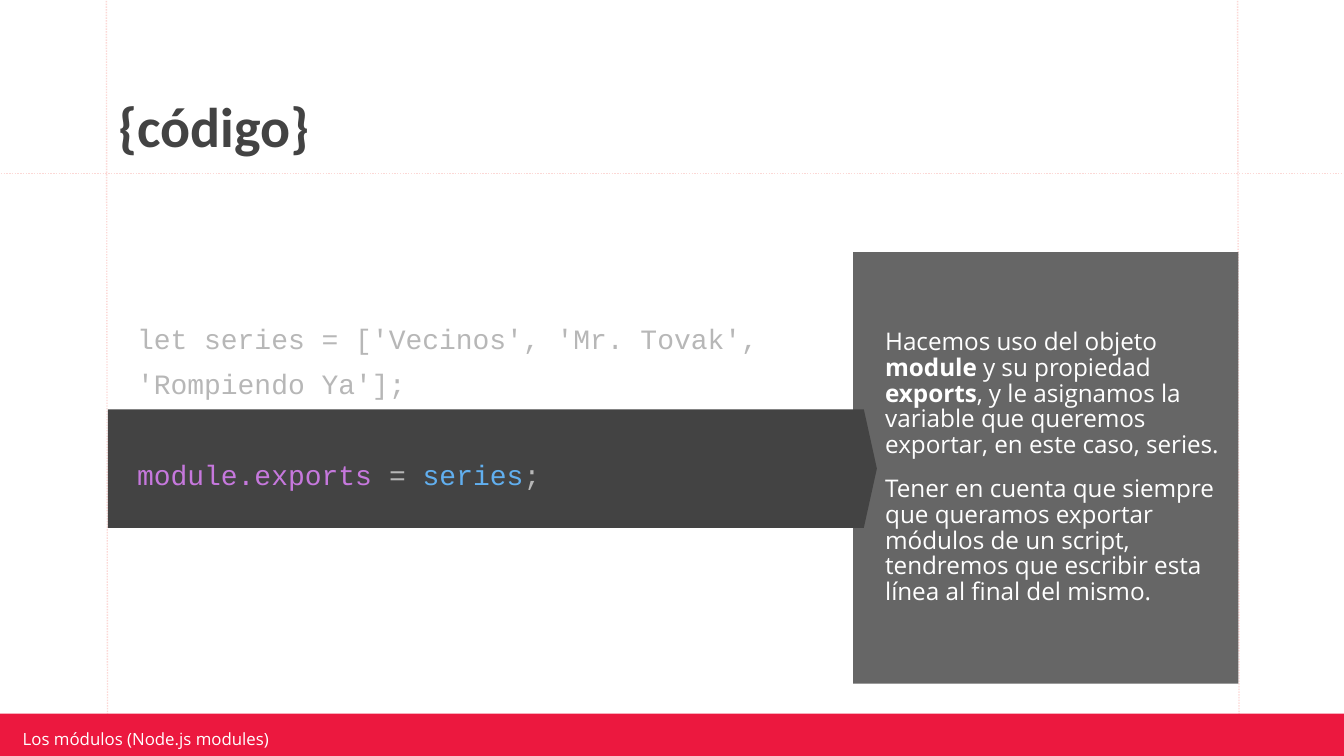
from dataclasses import dataclass

import pptx
import pptx.dml.color
import pptx.enum.dml
import pptx.enum.shapes
import pptx.enum.text
import pptx.oxml.xmlchemy
import pptx.util

Pt = pptx.util.Pt
RGBColor = pptx.dml.color.RGBColor
Anchor = pptx.enum.text.MSO_ANCHOR
Preset = pptx.enum.shapes.MSO_SHAPE
OxmlElement = pptx.oxml.xmlchemy.OxmlElement

WHITE = RGBColor(0xFF, 0xFF, 0xFF)
PINK = RGBColor(0xFC, 0xD8, 0xD6)
RED = RGBColor(0xEC, 0x18, 0x3F)
CHARCOAL = RGBColor(0x43, 0x43, 0x43)
GREY = RGBColor(0x66, 0x66, 0x66)
SILVER = RGBColor(0xB7, 0xB7, 0xB7)
PURPLE = RGBColor(0xC6, 0x78, 0xDD)
BLUE = RGBColor(0x61, 0xAF, 0xEF)


@dataclass(frozen=True)
class Box:
    left: float
    top: float
    width: float
    height: float


@dataclass(frozen=True)
class Guide:
    x1: float
    y1: float
    x2: float
    y2: float


@dataclass(frozen=True)
class Style:
    font: str
    size: float
    color: RGBColor
    bold: bool = False
    line_spacing: float = 1.0
    indent: float = 0


@dataclass(frozen=True)
class Span:
    text: str
    color: RGBColor | None = None
    bold: bool | None = None


@dataclass(frozen=True)
class Line:
    spans: tuple[Span, ...]
    space_before: float = 0


GUIDES = (
    Guide(57, -1, 57.6, 384),
    Guide(663, -1, 663.8, 384),
    Guide(-1, 93, 722, 93),
    Guide(-1.5, 383, 721.5, 383),
)
FOOTER_STYLE = Style("Open Sans", 9, WHITE)
TITLE_STYLE = Style("Calibri", 30, CHARCOAL, bold=True, line_spacing=0.9)
NOTE_STYLE = Style("Open Sans", 13, WHITE, line_spacing=0.88, indent=10)
CODE_STYLE = Style("Courier New", 15, SILVER, line_spacing=1.36, indent=10)

FOOTER = (Line((Span("Los módulos (Node.js modules)"),)),)
TITLE = (Line((Span("{código}"),)),)
NOTE = (
    Line((
        Span("Hacemos uso del objeto "),
        Span("module", bold=True),
        Span(" y su propiedad "),
        Span("exports", bold=True),
        Span(", y le asignamos la variable que queremos exportar, en este caso, series."),
    ), 10),
    Line((
        Span("Tener en cuenta que siempre que queramos exportar módulos de un script, "
             "tendremos que escribir esta línea al final del mismo."),
    ), 10),
)
CODE = (
    Line((Span("let series = ['Vecinos', 'Mr. Tovak', 'Rompiendo Ya'];"),)),
    Line((
        Span("module.exports", PURPLE),
        Span(" = "),
        Span("series", BLUE),
        Span(";"),
    ), 24),
)


def place(shape, box: Box) -> None:
    shape.left, shape.top = Pt(box.left), Pt(box.top)
    shape.width, shape.height = Pt(box.width), Pt(box.height)


def draw_guide(slide, guide: Guide) -> None:
    connector = slide.shapes.add_connector(
        pptx.enum.shapes.MSO_CONNECTOR.STRAIGHT,
        Pt(guide.x1), Pt(guide.y1), Pt(guide.x2), Pt(guide.y2))
    connector.line.color.rgb = PINK
    connector.line.width = Pt(0.75)
    connector.line.dash_style = pptx.enum.dml.MSO_LINE.ROUND_DOT
    connector._element.spPr.append(OxmlElement("a:effectLst"))


def draw_block(slide, preset: Preset, box: Box, color: RGBColor):
    block = slide.shapes.add_shape(
        preset, Pt(box.left), Pt(box.top), Pt(box.width), Pt(box.height))
    block.shadow.inherit = False
    block.fill.solid()
    block.fill.fore_color.rgb = color
    block.line.fill.background()
    return block


def write(shape, lines: tuple[Line, ...], style: Style, anchor: Anchor,
          inset_x: float, inset_y: float) -> None:
    frame = shape.text_frame
    frame.word_wrap = True
    frame.auto_size = pptx.enum.text.MSO_AUTO_SIZE.NONE
    frame.vertical_anchor = anchor
    frame.margin_left = frame.margin_right = Pt(inset_x)
    frame.margin_top = frame.margin_bottom = Pt(inset_y)
    for index, line in enumerate(lines):
        paragraph = frame.add_paragraph() if index else frame.paragraphs[0]
        paragraph.alignment = pptx.enum.text.PP_ALIGN.LEFT
        paragraph.line_spacing = style.line_spacing
        paragraph.space_before = Pt(line.space_before)
        paragraph.space_after = Pt(0)
        properties = paragraph._p.get_or_add_pPr()
        properties.set("marL", str(Pt(style.indent)))
        properties.set("indent", "0")
        properties.append(OxmlElement("a:buNone"))
        for span in line.spans:
            run = paragraph.add_run()
            run.text = span.text
            run.font.name = style.font
            run.font.size = Pt(style.size)
            run.font.bold = style.bold if span.bold is None else span.bold
            run.font.color.rgb = span.color or style.color


def main() -> None:
    deck = pptx.Presentation()
    deck.slide_width, deck.slide_height = Pt(720), Pt(405)
    slide = deck.slides.add_slide(deck.slide_layouts[3])
    title, code, note = (slide.placeholders[index] for index in range(3))

    for guide in GUIDES:
        draw_guide(slide, guide)
    draw_block(slide, Preset.RECTANGLE, Box(-1.5, 382.3, 722.5, 26), RED)
    footer = slide.shapes.add_textbox(Pt(8.6), Pt(390.2), Pt(172), Pt(10.8))
    write(footer, FOOTER, FOOTER_STYLE, Anchor.MIDDLE, 3.6, 1.4)

    place(title, Box(56.2, 43.2, 607, 49.7))
    write(title, TITLE, TITLE_STYLE, Anchor.BOTTOM, 7.2, 7.2)

    place(note, Box(457, 135, 206.5, 231.3))
    note.fill.solid()
    note.fill.fore_color.rgb = GREY
    write(note, NOTE, NOTE_STYLE, Anchor.MIDDLE, 7.2, 0)
    slide.shapes._spTree.append(note._element)

    highlight = draw_block(
        slide, Preset.RIGHT_ARROW, Box(57.8, 219.3, 412, 63.5), CHARCOAL)
    highlight.adjustments[0] = 1
    highlight.adjustments[1] = 0.11

    place(code, Box(56.2, 158.4, 400.3, 177.8))
    write(code, CODE, CODE_STYLE, Anchor.TOP, 7.2, 7.2)
    slide.shapes._spTree.append(code._element)

    deck.save("out.pptx")


if __name__ == "__main__":
    main()
